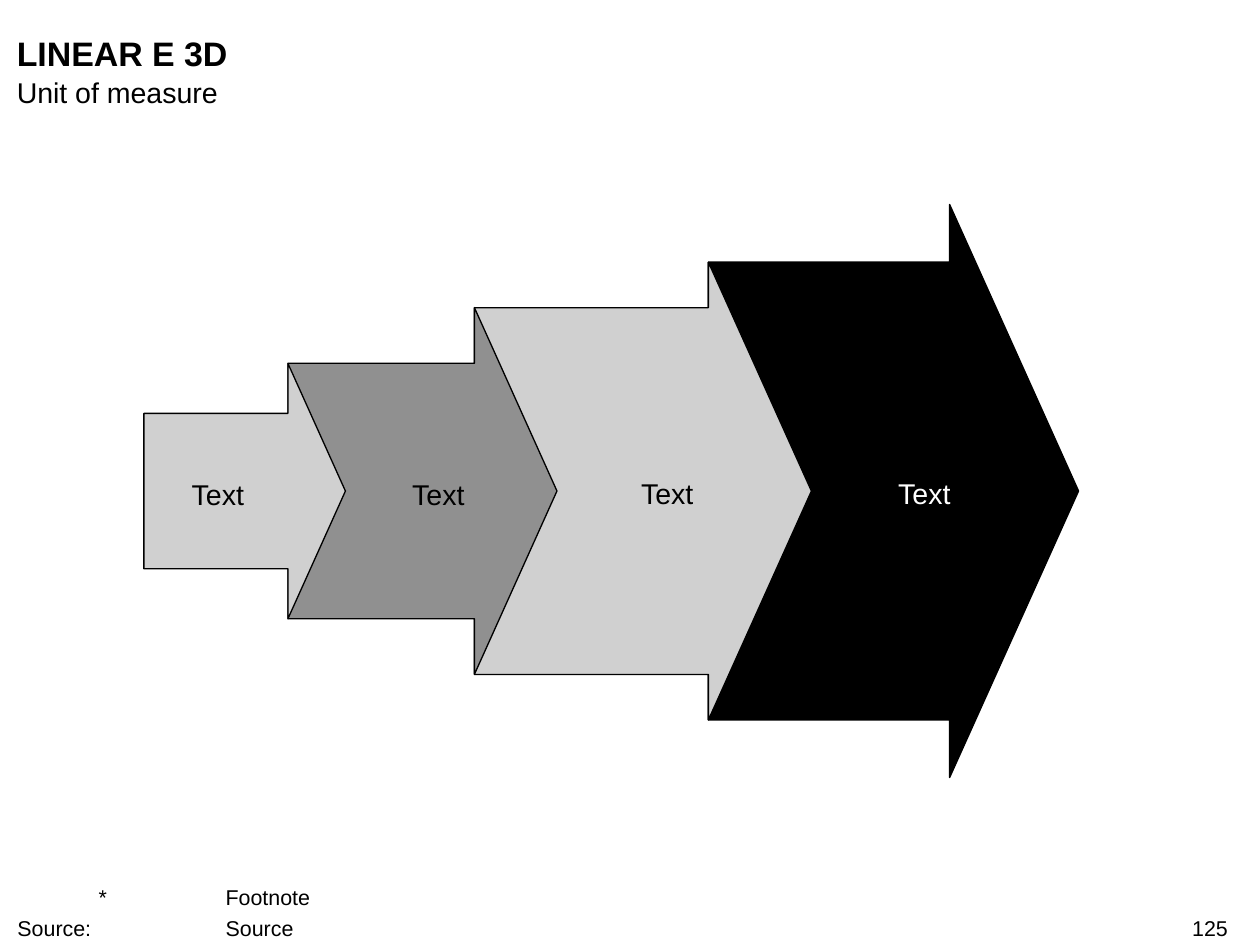
"""Build a slide with four nested arrows growing from left to right."""
from dataclasses import dataclass

from lxml.etree import SubElement
from pptx import Presentation
from pptx.dml.color import RGBColor
from pptx.enum.text import MSO_ANCHOR, PP_ALIGN
from pptx.oxml.ns import qn
from pptx.util import Pt


@dataclass(frozen=True)
class Theme:
    font: str = "Arial"
    black: RGBColor = RGBColor(0, 0, 0)
    white: RGBColor = RGBColor(255, 255, 255)
    light: RGBColor = RGBColor(0xD0, 0xD0, 0xD0)
    middle: RGBColor = RGBColor(0x90, 0x90, 0x90)
    title_size: int = 19
    body_size: int = 16
    note_size: int = 12


theme = Theme()


def set_text(shape, lines, size, color=theme.black, bold=False,
             align=PP_ALIGN.LEFT, anchor=MSO_ANCHOR.TOP, tabs=()):
    """Fill a shape with evenly formatted paragraphs and no margins."""
    frame = shape.text_frame
    frame.text = "\n".join(lines)
    frame.word_wrap = True
    frame.vertical_anchor = anchor
    frame.margin_left = frame.margin_top = frame.margin_right = frame.margin_bottom = 0
    for paragraph in frame.paragraphs:
        if tabs:
            tab_list = SubElement(paragraph._p.get_or_add_pPr(), qn("a:tabLst"))
            for position in tabs:
                SubElement(tab_list, qn("a:tab"), pos=str(Pt(position)), algn="l")
        paragraph.alignment = align
        paragraph.font.name = theme.font
        paragraph.font.size = Pt(size)
        paragraph.font.bold = bold
        paragraph.font.color.rgb = color


def add_text(left, top, width, height, lines, size, **options):
    """Add a text box and return it."""
    box = slide.shapes.add_textbox(Pt(left), Pt(top), Pt(width), Pt(height))
    set_text(box, lines, size, **options)
    return box


presentation = Presentation()
presentation.slide_width = Pt(705.6)
presentation.slide_height = Pt(529.2)
slide = presentation.slides.add_slide(presentation.slide_layouts[5])

title = slide.shapes.title
title.left, title.top, title.width, title.height = Pt(9.4), Pt(18), Pt(679), Pt(23)
set_text(title, ["LINEAR E 3D"], theme.title_size, bold=True)
add_text(9.4, 41.8, 679, 19.4, ["Unit of measure"], theme.body_size)

axis = 275
tip_ratio = 0.45
edges = [80.6, 161.3, 265.7, 396.7, 531.8]
half_heights = [43.5, 71.5, 102.7, 128.2, 160.5]
fills = [theme.light, theme.middle, theme.light, theme.black]

for index in reversed(range(len(fills))):
    left, neck = edges[index:index + 2]
    body, head = half_heights[index:index + 2]
    outline = [
        (left, axis - body), (neck, axis - body), (neck, axis - head),
        (neck + tip_ratio * head, axis),
        (neck, axis + head), (neck, axis + body), (left, axis + body),
    ]
    points = [(Pt(x), Pt(y)) for x, y in outline]
    builder = slide.shapes.build_freeform(*points[0])
    builder.add_line_segments(points[1:], close=True)
    arrow = builder.convert_to_shape()
    arrow.shadow.inherit = False
    arrow.fill.solid()
    arrow.fill.fore_color.rgb = fills[index]
    arrow.line.color.rgb = theme.black
    arrow.line.width = Pt(0.75)

labels = [
    (90.7, 267.1, 62.6, theme.black),
    (205.2, 267.1, 80.6, theme.black),
    (324.7, 266.4, 97.9, theme.black),
    (468.7, 266.4, 97.9, theme.white),
]
for left, top, width, color in labels:
    add_text(left, top, width, 19.4, ["Text"], theme.body_size, color=color,
             align=PP_ALIGN.CENTER, anchor=MSO_ANCHOR.MIDDLE)

notes = add_text(9.8, 495.4, 643, 31.7, ["\t*\tFootnote", "Source:\t\tSource"],
                 theme.note_size, anchor=MSO_ANCHOR.BOTTOM, tabs=(45.4, 116.6))
notes.text_frame.paragraphs[1].space_before = Pt(3)
add_text(540.7, 512.6, 146.9, 14.4, ["125"], theme.note_size, align=PP_ALIGN.RIGHT)

presentation.save("out.pptx")
